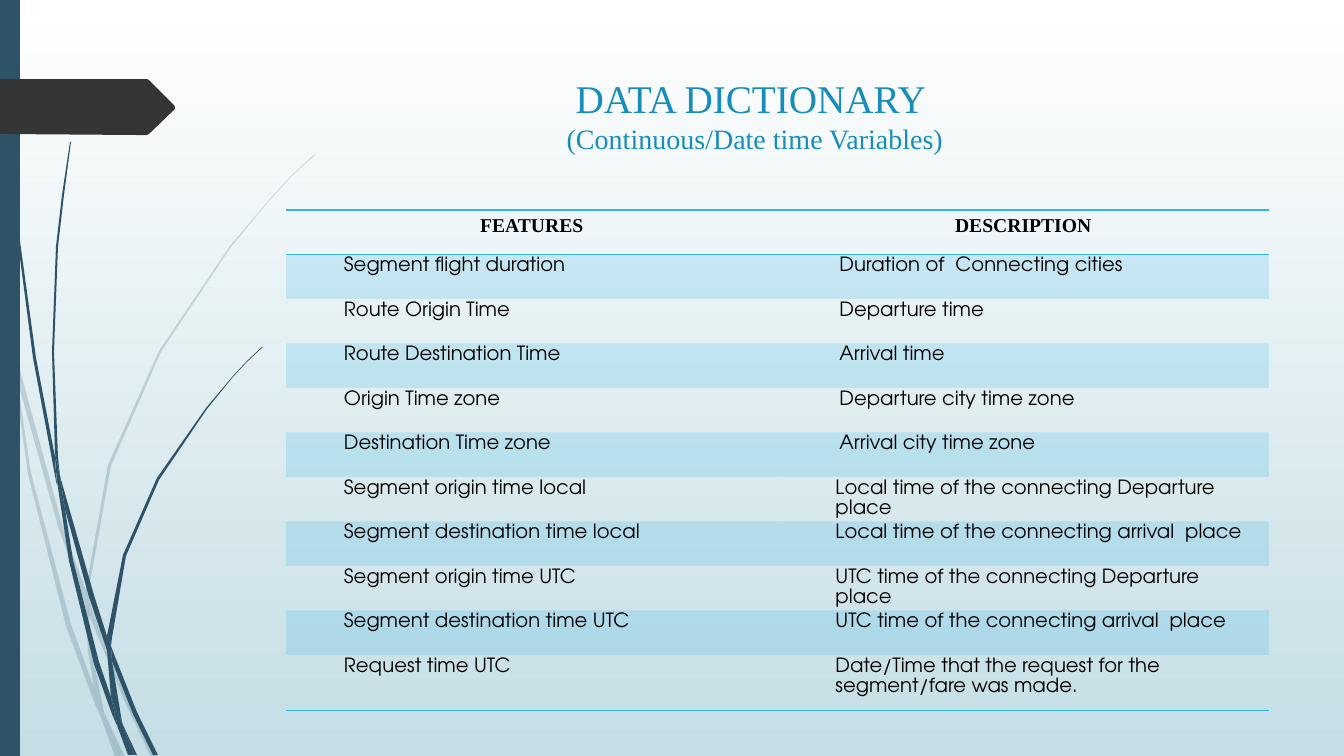
from lxml.etree import SubElement
from pptx import Presentation
from pptx.dml.color import RGBColor
from pptx.enum.shapes import MSO_SHAPE as SHAPE
from pptx.enum.text import MSO_ANCHOR as ANCHOR, PP_ALIGN as ALIGN
from pptx.oxml.ns import qn
from pptx.util import Emu, Pt

PX = 12192000 / 1344
COLORS = {
    "white": "FFFFFF",
    "mist": "C5DEE5",
    "navy": "2E5369",
    "charcoal": "353535",
    "title": "178DBB",
    "sky": "31B4E6",
    "black": "000000",
}
SERIF = "Times New Roman"
SANS = "TeX Gyre Adventor"
NO_GRID_STYLE = "{2D5ABB26-0587-4C30-8999-92F81FD0307C}"
HEADINGS = ("FEATURES", "DESCRIPTION")
FEATURES = [
    ("Segment flight duration", "Duration of  Connecting cities"),
    ("Route Origin Time", "Departure time"),
    ("Route Destination Time", "Arrival time"),
    ("Origin Time zone", "Departure city time zone"),
    ("Destination Time zone", "Arrival city time zone"),
    ("Segment origin time local", "Local time of the connecting Departure place"),
    ("Segment destination time local", "Local time of the connecting arrival  place"),
    ("Segment origin time UTC", "UTC time of the connecting Departure place"),
    ("Segment destination time UTC", "UTC time of the connecting arrival  place"),
    ("Request time UTC", "Date/Time that the request for the segment/fare was made."),
]
SHORT_DESCRIPTIONS = 5
FAINT_BLADES = [
    [(11, 353), (9, 325), (0, 284), (0, 301), (10, 347)],
    [(58, 526), (85, 604), (86, 591), (62, 524), (14, 348), (17, 379)],
    [(93, 612), (89, 601), (89, 615), (124, 700), (151, 757), (156, 757), (128, 698)],
    [(120, 757), (125, 757), (106, 717)],
    [(94, 688), (71, 624), (31, 473), (17, 379), (11, 353), (28, 474), (66, 626),
     (93, 699), (102, 720), (100, 713)],
    [(85, 604), (88, 651), (94, 688), (97, 698), (106, 717), (104, 712), (92, 651),
     (89, 615), (89, 613)],
    [(89, 589), (111, 466), (161, 352), (231, 247), (270, 200), (292, 176), (315, 155),
     (315, 154), (291, 176), (270, 199), (230, 246), (159, 351), (108, 465), (86, 589),
     (86, 591), (89, 601)],
    [(102, 720), (115, 757), (120, 757)],
    [(89, 613), (89, 615), (89, 601), (86, 591), (85, 604)],
    [(97, 698), (94, 688), (100, 713), (102, 720), (120, 757), (106, 717)],
]
DARK_BLADES = [
    [(7, 111), (17, 235), (33, 358), (56, 481), (57, 485), (55, 461), (55, 457),
     (36, 358), (19, 234), (8, 110), (5, 48), (4, 0), (3, 0), (4, 48)],
    [(89, 597), (107, 650), (107, 638), (107, 636), (94, 595), (60, 476), (65, 509)],
    [(114, 654), (111, 646), (112, 661), (133, 714), (153, 755), (158, 755), (137, 712)],
    [(111, 697), (99, 662), (73, 560), (65, 509), (57, 481), (69, 561), (94, 664),
     (112, 714), (118, 728), (117, 723)],
    [(60, 476), (58, 457), (54, 352), (58, 247), (64, 195), (71, 142), (70, 142),
     (62, 195), (56, 247), (52, 352), (55, 453)],
    [(134, 755), (137, 755), (123, 725)],
    [(57, 481), (65, 509), (60, 476), (55, 453), (55, 457)],
    [(112, 638), (126, 556), (159, 480), (207, 409), (233, 377), (247, 362), (263, 347),
     (262, 347), (247, 361), (233, 376), (206, 408), (157, 478), (123, 555), (107, 636),
     (111, 646)],
    [(118, 728), (128, 755), (132, 755)],
    [(107, 650), (111, 697), (117, 712), (123, 725), (122, 722), (112, 661), (110, 656)],
    [(107, 650), (110, 656), (112, 661), (111, 646), (107, 636), (107, 638)],
    [(117, 712), (111, 697), (117, 723), (118, 728), (131, 755), (134, 755), (123, 725)],
]
POINTER = [(175, 109), (149, 134), (147, 135), (137, 135), (0, 134), (0, 79),
           (147, 79), (149, 80), (174, 105), (175, 107)]


def px(length):
    return Emu(round(length * PX))


def rgb(name):
    return RGBColor.from_string(COLORS[name])


def paint(fill, color, opacity=100):
    fill.solid()
    fill.fore_color.rgb = rgb(color)
    if opacity < 100:
        tone = fill._xPr.find(qn("a:solidFill"))[0]
        SubElement(tone, qn("a:alpha"), val=str(opacity * 1000))


def finish(shape, color, opacity=100):
    paint(shape.fill, color, opacity)
    shape.line.fill.background()
    shape.shadow.inherit = False


def write(paragraph, text, font, size, color="black", bold=False,
          align=ALIGN.LEFT, spacing=None, indent=0):
    paragraph.alignment = align
    if spacing:
        paragraph.line_spacing = spacing
    if indent:
        paragraph._p.get_or_add_pPr().set("marL", str(px(indent)))
    run = paragraph.add_run()
    run.text = text
    run.font.name = font
    run.font.size = Pt(size)
    run.font.bold = bold
    run.font.color.rgb = rgb(color)


def add_outline(slide, points, color, opacity=100):
    start, *rest = [(px(x), px(y)) for x, y in points]
    builder = slide.shapes.build_freeform(*start)
    builder.add_line_segments(rest, close=True)
    finish(builder.convert_to_shape(), color, opacity)


def add_side_bar(slide):
    bar = slide.shapes.add_shape(SHAPE.RECTANGLE, 0, 0, px(20), px(756))
    finish(bar, "navy")


def add_title(slide):
    frame = slide.shapes.add_textbox(px(286), px(69), px(938), px(141)).text_frame
    frame.word_wrap = True
    frame.vertical_anchor = ANCHOR.TOP
    heading = frame.paragraphs[0]
    style = dict(font=SERIF, color="title", align=ALIGN.CENTER)
    write(heading, "DATA DICTIONARY ", size=28, **style)
    heading.add_line_break()
    write(heading, "(Continuous/Date time Variables)", size=20, **style)


def add_border(cell, side):
    properties = cell._tc.get_or_add_tcPr()
    border = properties.makeelement(qn(f"a:{side}"), {"w": str(Pt(1))})
    fill = SubElement(border, qn("a:solidFill"))
    SubElement(fill, qn("a:srgbClr"), val=COLORS["sky"])
    properties.insert(len(properties) - 1, border)


def fill_header(cell, text):
    write(cell.text_frame.paragraphs[0], text, SERIF, 14, bold=True, align=ALIGN.CENTER)
    cell.fill.background()
    add_border(cell, "lnT")
    add_border(cell, "lnB")


def fill_feature(cell, text, banded, indent):
    cell.margin_left, cell.margin_right = px(7), px(9)
    cell.margin_top, cell.margin_bottom = 0, px(-12)
    write(cell.text_frame.paragraphs[0], text, SANS, 14, spacing=1.15, indent=indent)
    if banded:
        paint(cell.fill, "sky", 20)
    else:
        cell.fill.background()


def add_dictionary(slide):
    table = slide.shapes.add_table(
        len(FEATURES) + 1, 2, px(286), px(210), px(983), px(501)).table
    table.first_row = table.horz_banding = False
    table._tbl.tblPr.find(qn("a:tableStyleId")).text = NO_GRID_STYLE
    for row in table.rows:
        row.height = px(445 / 10)
    table.rows[len(FEATURES)].height = px(56)
    for column, heading in enumerate(HEADINGS):
        fill_header(table.cell(0, column), heading)
    for number, entry in enumerate(FEATURES):
        for column, text in enumerate(entry):
            indent = 55 if column and number < SHORT_DESCRIPTIONS else 51
            fill_feature(table.cell(number + 1, column), text, number % 2 == 0, indent)
    for column in range(2):
        add_border(table.cell(len(FEATURES), column), "lnB")


def add_background(slide):
    fill = slide.background.fill
    fill.gradient()
    fill.gradient_angle = 270
    for stop, color, position in zip(fill.gradient_stops, ("white", "mist"), (0, 1)):
        stop.color.rgb = rgb(color)
        stop.position = position


def main():
    deck = Presentation()
    deck.slide_width, deck.slide_height = px(1344), px(756)
    slide = deck.slides.add_slide(deck.slide_layouts[6])
    add_background(slide)
    for blades, opacity in ((FAINT_BLADES, 20), (DARK_BLADES, 100)):
        for points in blades:
            add_outline(slide, points, "navy", opacity)
    add_side_bar(slide)
    add_outline(slide, POINTER, "charcoal")
    add_title(slide)
    add_dictionary(slide)
    deck.save("out.pptx")


if __name__ == "__main__":
    main()
